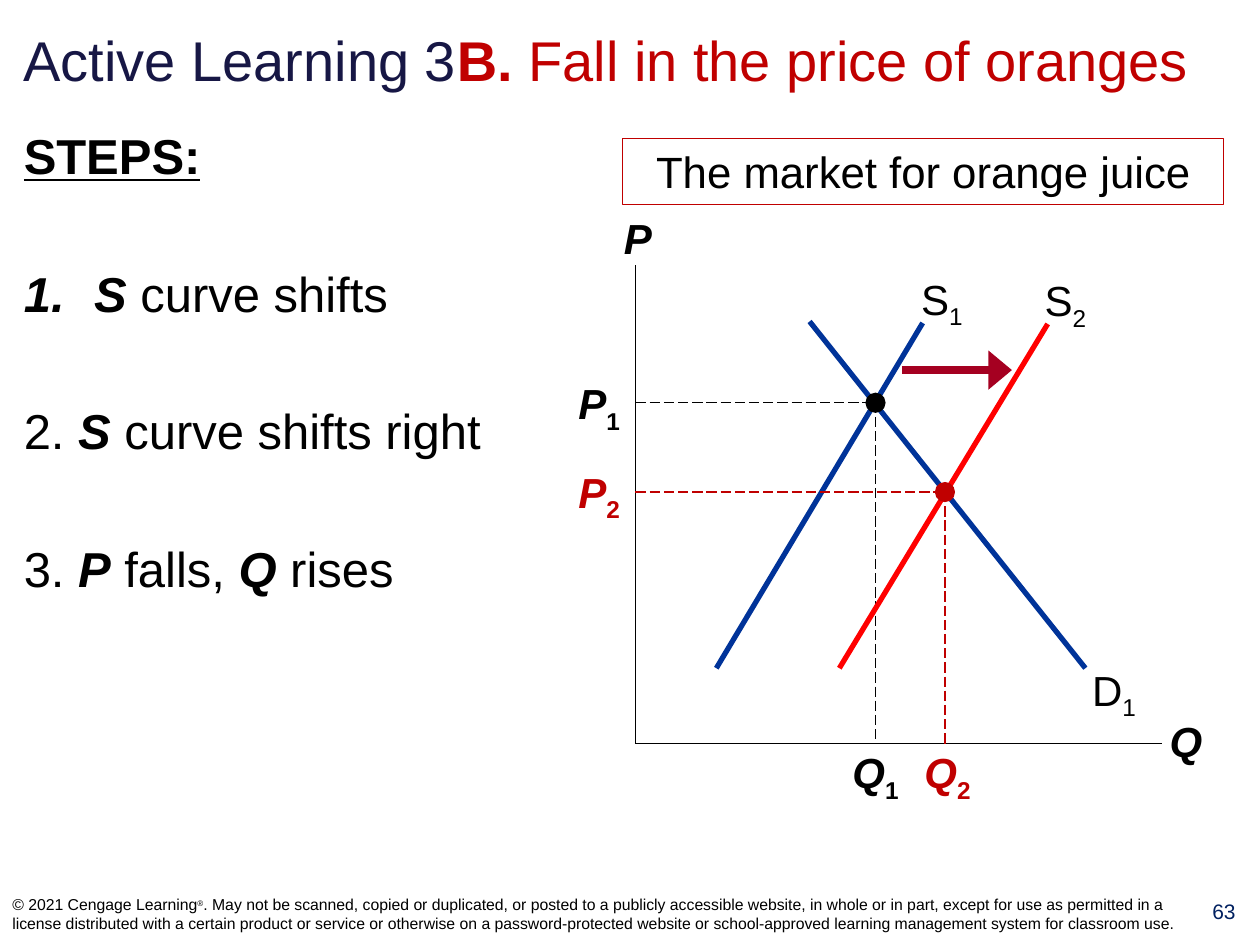
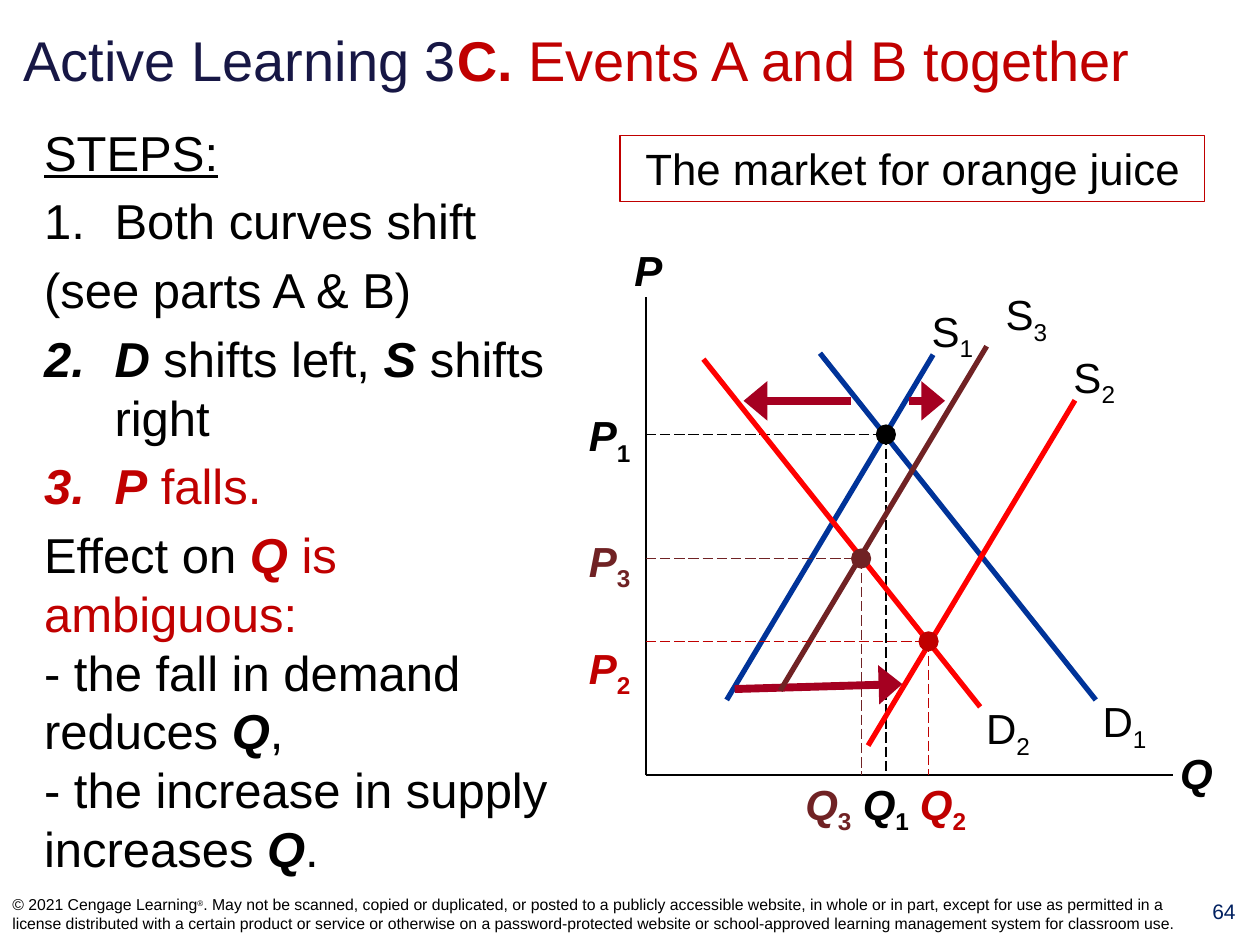
from dataclasses import dataclass

from lxml import etree
from pptx import Presentation
from pptx.dml.color import RGBColor
from pptx.enum import dml, shapes, text
from pptx.oxml import ns
from pptx.util import Cm, Pt


@dataclass(frozen=True)
class Theme:
    font: str = "Arial"
    navy: str = "171745"
    page: str = "002060"
    red: str = "C00000"
    black: str = "000000"
    white: str = "FFFFFF"
    blue: str = "003399"
    bright: str = "FF0000"
    brown: str = "702224"
    shift: str = "A50021"
    title: int = 32
    body: int = 28
    head: int = 25
    label: int = 24
    num: int = 12
    legal: int = 9
    mark: int = 8
    gap: float = 5.6


T = Theme()
LEGAL = (
    ". May not be scanned, copied or duplicated, or posted to a publicly "
    "accessible website, in whole or in part, except for use as permitted in a "
    "license distributed with a certain product or service or otherwise on a "
    "password-protected website or school-approved learning management system "
    "for classroom use."
)
BREAK = "\n"


# --- Text ---
def rich(para, parts, size, color=T.black):
    """Parts are strings or (text, flags, colour); flags: b, i, u, _ sub, ^ super."""
    for part in parts:
        if part == BREAK:
            para.add_line_break()
            continue
        words, flags, tint = part if isinstance(part, tuple) else (part, "", None)
        run = para.add_run()
        run.text = words
        font = run.font
        font.name, font.size = T.font, Pt(T.mark if "^" in flags else size)
        font.bold, font.italic = "b" in flags, "i" in flags
        font.underline = "u" in flags
        font.color.rgb = RGBColor.from_string(tint or color)
        for sign, shift in (("_", "-25000"), ("^", "30000")):
            if sign in flags:
                run._r.get_or_add_rPr().set("baseline", shift)


def text_box(slide, box, inset=True):
    frame = slide.shapes.add_textbox(*map(Cm, box)).text_frame
    frame.word_wrap = True
    if not inset:
        frame.margin_left = frame.margin_right = 0
        frame.margin_top = frame.margin_bottom = 0
    return frame


def number(para, start):
    props = para._p.get_or_add_pPr()
    props.set("marL", str(Cm(1.42)))
    props.set("indent", str(-Cm(1.42)))
    etree.SubElement(props, ns.qn("a:buAutoNum"),
                     type="arabicPeriod", startAt=str(start))


def steps(slide, box, items, gap):
    """Items are (number or None, parts)."""
    frame = text_box(slide, box)
    for i, (start, parts) in enumerate(items):
        para = frame.add_paragraph() if i else frame.paragraphs[0]
        para.space_before = Pt(gap if i else 0)
        if start:
            number(para, start)
        rich(para, parts, T.body)


# --- Slide frame: title, page number, legal line ---
def new_slide(prs, letter, topic, page):
    slide = prs.slides.add_slide(prs.slide_layouts[5])
    title = slide.shapes.title
    title.left, title.top, title.width, title.height = map(
        Cm, (0.22, 0.28, 24.77, 1.83))
    frame = title.text_frame
    frame.word_wrap = True
    frame.auto_size = text.MSO_AUTO_SIZE.NONE
    frame.vertical_anchor = text.MSO_ANCHOR.MIDDLE
    para = frame.paragraphs[0]
    para.alignment = text.PP_ALIGN.LEFT
    rich(para, ["Active Learning 3", (letter + ". ", "b", T.red),
                (topic, "", T.red)], T.title, T.navy)

    para = text_box(slide, (23.95, 17.98, 1.45, 1.04)).paragraphs[0]
    para.alignment = text.PP_ALIGN.CENTER
    rich(para, [str(page)], T.num, T.page)

    frame = text_box(slide, (0, 17.78, 24.13, 1.27))
    frame.vertical_anchor = text.MSO_ANCHOR.MIDDLE
    rich(frame.paragraphs[0],
         ["© 2021 Cengage Learning", ("®", "^", None), LEGAL], T.legal)
    return slide


def banner(slide, box):
    rect = slide.shapes.add_shape(shapes.MSO_SHAPE.RECTANGLE, *map(Cm, box))
    rect.shadow.inherit = False
    rect.fill.solid()
    rect.fill.fore_color.rgb = RGBColor.from_string(T.white)
    rect.line.color.rgb = RGBColor.from_string(T.red)
    rect.line.width = Pt(0.75)
    para = rect.text_frame.paragraphs[0]
    para.alignment = text.PP_ALIGN.CENTER
    rich(para, ["The market for orange juice"], T.head)


# --- Graph, measured in cm right of and above the origin ---
class Graph:
    def __init__(self, slide, left, base):
        self.slide, self.left, self.base = slide, left, base
        self.line((0, 0), (0, 9.65), T.black, 1)
        self.line((0, 0), (10.62, 0), T.black, 1)
        self.label("P", "", (0.05, 10.19), "bi")
        self.label("Q", "", (11.1, 0.06), "bi")

    def at(self, point):
        return Cm(self.left + point[0]), Cm(self.base - point[1])

    def line(self, start, end, color, width, dash=False, arrow=False):
        link = self.slide.shapes.add_connector(
            shapes.MSO_CONNECTOR.STRAIGHT, *self.at(start), *self.at(end))
        link.line.color.rgb = RGBColor.from_string(color)
        link.line.width = Pt(width)
        if dash:
            link.line.dash_style = dml.MSO_LINE.LONG_DASH
        if arrow:
            etree.SubElement(link.line._get_or_add_ln(), ns.qn("a:tailEnd"),
                             type="triangle", w="lg", len="med")
        etree.SubElement(link._element.spPr, ns.qn("a:effectLst"))

    def label(self, name, sub, mid, flags="", color=T.black):
        wide, high = 1.6, 1.02
        box = (self.left + mid[0] - wide / 2, self.base - mid[1] - high / 2,
               wide, high)
        para = text_box(self.slide, box, inset=False).paragraphs[0]
        para.alignment = text.PP_ALIGN.CENTER
        parts = [(name, flags, color)]
        if sub:
            parts.append((sub, flags.replace("i", "") + "_", color))
        rich(para, parts, T.label)

    def curve(self, name, start, end, tag, color):
        self.line(start, end, color, 3)
        self.label(name[0], name[1], tag)

    def shift(self, start, end):
        self.line(start, end, T.shift, 4.5, arrow=True)

    def balance(self, sub, point, color, price, amount):
        """Equilibrium dot with guides; price and amount place its labels."""
        x, y = point
        self.line((0, y), point, color, 0.75, dash=True)
        self.line(point, (x, 0), color, 0.75, dash=True)
        size = 0.38
        dot = self.slide.shapes.add_shape(
            shapes.MSO_SHAPE.OVAL, *self.at((x - size / 2, y + size / 2)),
            Cm(size), Cm(size))
        dot.shadow.inherit = False
        dot.fill.solid()
        dot.fill.fore_color.rgb = RGBColor.from_string(color)
        dot.line.color.rgb = RGBColor.from_string(color)
        dot.line.width = Pt(0.75)
        self.label("P", sub, (-0.73, price), "bi", color)
        self.label("Q", sub, (amount, -0.57), "bi", color)


def start_market(slide, left, base):
    """Axes, first curves and first equilibrium, common to both slides."""
    graph = Graph(slide, left, base)
    graph.curve("D1", (3.51, 8.51), (9.07, 1.52), (9.65, 1.09), T.blue)
    graph.curve("S1", (1.63, 1.52), (5.79, 8.48), (6.18, 8.97), T.blue)
    graph.balance("1", (4.84, 6.87), T.black, 6.86, 4.84)
    return graph


# --- Slides ---
def price_fall(prs):
    slide = new_slide(prs, "B", "Fall in the price of oranges", 63)
    supply, price, amount = (
        (name, "bi", None) for name in ("S", "P", "Q"))
    steps(slide, (0.23, 2.41, 12.04, 14.81), [
        (None, [("STEPS:", "bu", None)]),
        (1, [supply, " curve shifts"]),
        (None, ["2. ", supply, " curve shifts right"]),
        (None, ["3. ", price, " falls, ", amount, " rises"]),
    ], gap=45)
    banner(slide, (12.55, 2.79, 12.12, 1.33))

    graph = start_market(slide, 12.81, 14.99)
    graph.curve("S2", (4.11, 1.52), (8.31, 8.46), (8.67, 8.94), T.bright)
    graph.shift((5.38, 7.53), (7.59, 7.53))
    graph.balance("2", (6.24, 5.07), T.red, 5.08, 6.29)


def both_events(prs):
    slide = new_slide(prs, "C", "Events A and B together", 64)
    demand, supply, amount = (
        (name, "bi", None) for name in ("D", "S", "Q"))
    steps(slide, (0.64, 2.34, 11, 16.31), [
        (None, [("STEPS:", "u", None)]),
        (1, ["Both curves shift"]),
        (None, ["(see parts A & B)"]),
        (2, [demand, " shifts left, ", supply, " shifts right"]),
        (3, [("P", "bi", T.red), (" falls.", "", T.red)]),
        (None, ["Effect on ", ("Q", "bi", T.red), (" is ambiguous:", "", T.red),
                BREAK, "- the fall in demand reduces ", amount, ",",
                BREAK, "- the increase in supply increases ", amount, "."]),
    ], gap=T.gap)
    banner(slide, (12.5, 2.73, 11.79, 1.33))

    graph = start_market(slide, 13.02, 15.63)
    graph.curve("D2", (1.16, 8.39), (6.74, 1.38), (7.3, 0.95), T.bright)
    graph.shift((4.13, 7.55), (1.97, 7.55))
    graph.balance("3", (4.34, 4.37), T.brown, 4.33, 3.68)
    graph.shift((1.79, 1.74), (5.17, 1.84))
    graph.curve("S2", (4.48, 0.6), (8.65, 7.56), (9.04, 8.04), T.bright)
    graph.shift((5.3, 7.55), (6.03, 7.55))
    graph.curve("S3", (2.71, 1.71), (6.87, 8.65), (7.67, 9.3), T.brown)
    graph.balance("2", (5.7, 2.7), T.red, 2.17, 5.99)


def main():
    prs = Presentation()
    prs.slide_width, prs.slide_height = Cm(25.4), Cm(19.05)
    price_fall(prs)
    both_events(prs)
    prs.save("out.pptx")


if __name__ == "__main__":
    main()
